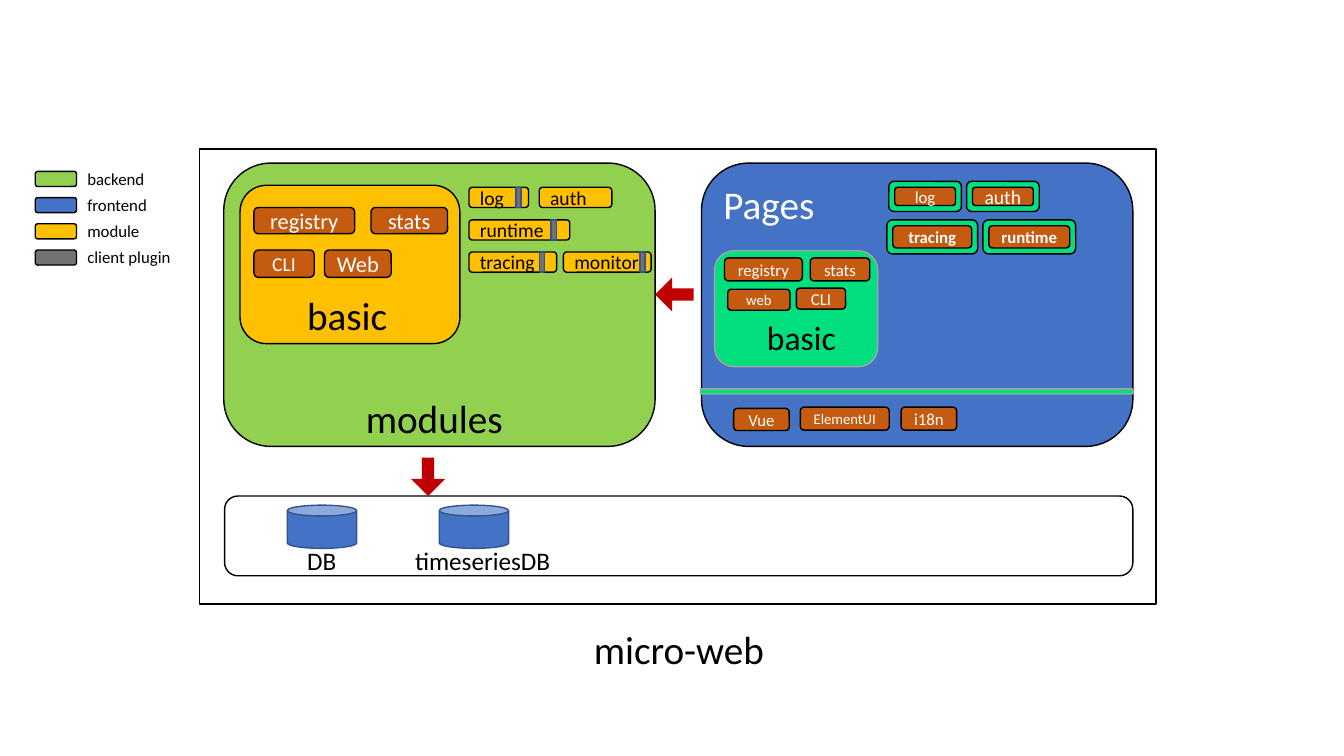
"""Build the micro-web architecture slide."""
import pptx
import pptx.dml.color
import pptx.enum.shapes
import pptx.enum.text
import pptx.util

SHAPES = pptx.enum.shapes.MSO_SHAPE
ALIGN = pptx.enum.text.PP_ALIGN
ANCHOR = pptx.enum.text.MSO_ANCHOR

FONT = "Calibri"
BLACK, WHITE, GRAY, PLUGIN = "000000", "FFFFFF", "A6A6A6", "767171"
GREEN, BLUE, AMBER = "92D050", "4472C4", "FFC000"
MINT, RUST, RED, NAVY = "00DE7D", "C55A11", "C00000", "325491"

TITLE = ("micro-web", (14.71, 15.62, 4.83, 1.45))

PANELS = [
    (SHAPES.RECTANGLE, (5.03, 3.76, 24.1, 11.46), WHITE, BLACK),
    (SHAPES.ROUNDED_RECTANGLE, (5.64, 4.11, 10.87, 7.14), GREEN, BLACK),
    (SHAPES.ROUNDED_RECTANGLE, (6.05, 4.67, 5.54, 3.99), AMBER, BLACK),
    (SHAPES.ROUNDED_RECTANGLE, (17.68, 4.11, 10.87, 7.14), BLUE, BLACK),
    (SHAPES.ROUNDED_RECTANGLE, (17.65, 9.8, 10.9, 0.13), MINT, GRAY),
    (SHAPES.ROUNDED_RECTANGLE, (18.01, 6.32, 4.11, 2.92), MINT, GRAY),
    (SHAPES.ROUNDED_RECTANGLE, (5.66, 12.5, 22.89, 2.01), WHITE, BLACK),
]

HEADINGS = [
    ("modules", (8.97, 9.8, 4.11, 1.45), 28, BLACK),
    ("basic", (7.49, 7.21, 2.69, 1.45), 28, BLACK),
    ("Pages", (17.98, 4.42, 4.11, 1.45), 28, WHITE),
    ("basic", (19.08, 7.85, 2.69, 1.27), 24, BLACK),
]

CHIPS = [
    ("registry", (6.4, 5.23, 2.54, 0.66), 16),
    ("stats", (9.35, 5.23, 1.93, 0.66), 16),
    ("CLI", (6.4, 6.3, 1.52, 0.69), 14),
    ("Web", (8.18, 6.3, 1.68, 0.69), 16),
    ("registry", (18.26, 6.5, 1.96, 0.58), 12),
    ("stats", (20.42, 6.5, 1.5, 0.58), 12),
    ("web", (18.34, 7.29, 1.57, 0.53), 10.5),
    ("CLI", (20.07, 7.26, 1.24, 0.53), 12),
    ("Vue", (18.49, 10.29, 1.4, 0.56), 12),
    ("ElementUI", (20.17, 10.26, 2.24, 0.58), 10.5),
    ("i18n", (22.71, 10.26, 1.4, 0.58), 12),
]

PAGE_INSET = 0.15
PAGES = [
    ("log", (22.4, 4.57, 1.83, 0.76), 12, False),
    ("auth", (24.36, 4.57, 1.83, 0.76), 14, False),
    ("tracing", (22.35, 5.54, 2.29, 0.86), 12, True),
    ("runtime", (24.77, 5.54, 2.34, 0.86), 12, True),
]

MODULE_HEIGHT, PLUGIN_WIDTH = 0.51, 0.13
MODULES = [
    ("log", 11.82, 4.72, 1.5, 13.0),
    ("auth", 13.59, 4.72, 1.83, None),
    ("runtime", 11.82, 5.54, 2.54, 13.89),
    ("tracing", 11.82, 6.35, 2.21, 13.59),
    ("monitor", 14.2, 6.35, 2.21, 16.13),
]

LEGEND_TOP, LEGEND_PITCH = 4.32, 0.66
LEGEND = [("backend", GREEN), ("frontend", BLUE), ("module", AMBER), ("client plugin", PLUGIN)]

ARROWS = [
    (SHAPES.LEFT_ARROW, (16.51, 6.99, 0.97, 0.86)),
    (SHAPES.DOWN_ARROW, (10.36, 11.53, 0.86, 0.97)),
]

DATABASES = [("DB", 7.24, 7.49, 1.35), ("timeseriesDB", 11.07, 10.21, 3.99)]


def color(value):
    return pptx.dml.color.RGBColor.from_string(value)


def lengths(box):
    return [pptx.util.Cm(value) for value in box]


def write(shape, text, size, font_color, align=ALIGN.LEFT, anchor=ANCHOR.TOP, bold=False):
    frame = shape.text_frame
    frame.text = text
    frame.word_wrap = True
    frame.vertical_anchor = anchor
    paragraph = frame.paragraphs[0]
    paragraph.alignment = align
    paragraph.font.name = FONT
    paragraph.font.size = pptx.util.Pt(size)
    paragraph.font.bold = bold
    paragraph.font.color.rgb = color(font_color)


def add_figure(slide, kind, box, fill, line=BLACK):
    shape = slide.shapes.add_shape(kind, *lengths(box))
    shape.shadow.inherit = False
    shape.fill.solid()
    shape.fill.fore_color.rgb = color(fill)
    if line:
        shape.line.color.rgb = color(line)
        shape.line.width = pptx.util.Pt(1)
    else:
        shape.line.fill.background()
    return shape


def add_label(slide, text, box, size, font_color=BLACK):
    write(slide.shapes.add_textbox(*lengths(box)), text, size, font_color)


def add_chip(slide, text, box, size, bold=False):
    chip = add_figure(slide, SHAPES.ROUNDED_RECTANGLE, box, RUST)
    write(chip, text, size, WHITE, ALIGN.CENTER, ANCHOR.MIDDLE, bold)


def add_title(slide):
    text, box = TITLE
    title = slide.shapes.title
    title.left, title.top, title.width, title.height = lengths(box)
    write(title, text, 28, BLACK)
    title.text_frame.auto_size = pptx.enum.text.MSO_AUTO_SIZE.NONE


def add_modules(slide):
    for text, left, top, width, plugin_left in MODULES:
        box = (left, top, width, MODULE_HEIGHT)
        module = add_figure(slide, SHAPES.ROUNDED_RECTANGLE, box, AMBER)
        write(module, text, 14, BLACK, anchor=ANCHOR.MIDDLE)
        if plugin_left:
            stripe = (plugin_left, top, PLUGIN_WIDTH, MODULE_HEIGHT)
            add_figure(slide, SHAPES.RECTANGLE, stripe, PLUGIN, NAVY)


def add_pages(slide):
    for text, box, size, bold in PAGES:
        left, top, width, height = box
        add_figure(slide, SHAPES.ROUNDED_RECTANGLE, box, MINT)
        inner = (left + PAGE_INSET, top + PAGE_INSET,
                 width - 2 * PAGE_INSET, height - 2 * PAGE_INSET)
        add_chip(slide, text, inner, size, bold)


def add_legend(slide):
    for index, (text, fill) in enumerate(LEGEND):
        top = LEGEND_TOP + index * LEGEND_PITCH
        add_figure(slide, SHAPES.ROUNDED_RECTANGLE, (0.89, top, 1.04, 0.38), fill)
        add_label(slide, text, (1.95, top - 0.2, 2.79, 0.76), 12)


def main():
    presentation = pptx.Presentation()
    presentation.slide_width = pptx.util.Cm(33.87)
    presentation.slide_height = pptx.util.Cm(19.05)
    slide = presentation.slides.add_slide(presentation.slide_layouts[5])
    add_title(slide)
    for panel in PANELS:
        add_figure(slide, *panel)
    for heading in HEADINGS:
        add_label(slide, *heading)
    for chip in CHIPS:
        add_chip(slide, *chip)
    add_modules(slide)
    add_pages(slide)
    add_legend(slide)
    for kind, box in ARROWS:
        arrow = add_figure(slide, kind, box, RED, None)
        arrow.adjustments[0] = 0.36
    for text, left, label_left, label_width in DATABASES:
        add_figure(slide, SHAPES.CAN, (left, 12.73, 1.75, 1.09), BLUE, NAVY)
        add_label(slide, text, (label_left, 13.61, label_width, 1.02), 18)
    presentation.save("out.pptx")


if __name__ == "__main__":
    main()
